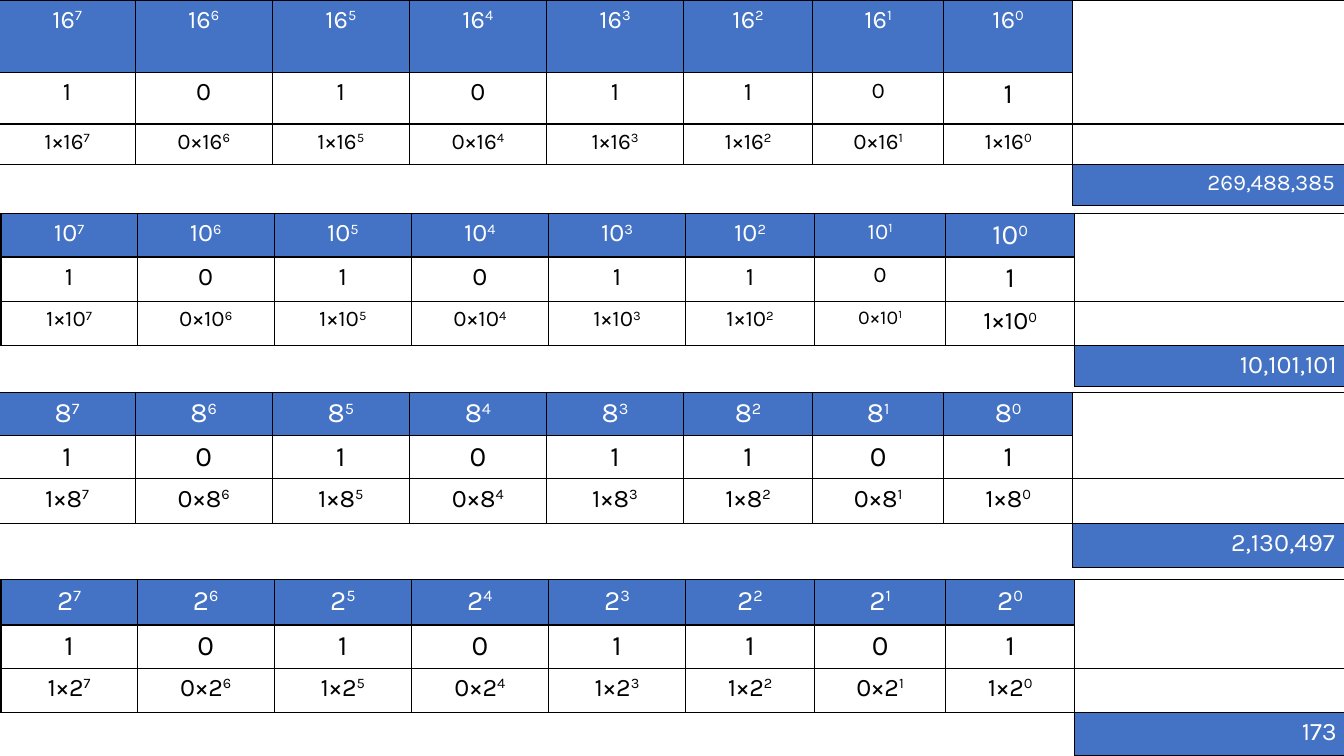
from dataclasses import dataclass

from lxml import etree
from pptx import Presentation
from pptx.dml.color import RGBColor
from pptx.enum.text import PP_ALIGN
from pptx.oxml.ns import qn
from pptx.slide import Slide
from pptx.table import _Cell
from pptx.util import Inches, Pt

CENTER, RIGHT = PP_ALIGN.CENTER, PP_ALIGN.RIGHT


@dataclass(frozen=True)
class Theme:
    font: str = "Karla"
    blue: RGBColor = RGBColor(0x44, 0x72, 0xC4)
    white: RGBColor = RGBColor(0xFF, 0xFF, 0xFF)
    black: RGBColor = RGBColor(0, 0, 0)
    border: Pt = Pt(1)
    huge: int = 20
    large: int = 18
    medium: int = 16
    small: int = 14


THEME = Theme()
DIGITS = (1, 0, 1, 0, 1, 1, 0, 1)
COLUMN_WIDTHS = (1.35, 1.36, 1.36, 1.36, 1.36, 1.28, 1.3, 1.28, 2.7)
TOTAL_COLUMN = len(DIGITS)


def row_sizes(usual: int, next_to_last: int = 0, last: int = 0) -> list[int]:
    """Type sizes of the eight digit columns; the last two may differ."""
    return [usual] * 6 + [next_to_last or usual, last or usual]


@dataclass(frozen=True)
class BaseTable:
    base: int
    left: float
    top: float
    row_heights: tuple[float, ...]
    power_sizes: list[int]
    digit_sizes: list[int]
    product_sizes: list[int]
    total_size: int


HUGE_ROW = row_sizes(THEME.huge)
LARGE_ROW = row_sizes(THEME.large)
MEDIUM_ROW = row_sizes(THEME.medium)
UNEVEN_ROW = row_sizes(THEME.large, THEME.medium, THEME.huge)

BASE_TABLES = (
    BaseTable(16, -0.01, 0, (0.72, 0.51, 0.4, 0.4),
              LARGE_ROW, UNEVEN_ROW, MEDIUM_ROW, THEME.medium),
    BaseTable(10, 0.01, 2.12, (0.43, 0.44, 0.44, 0.4), UNEVEN_ROW, UNEVEN_ROW,
              row_sizes(THEME.medium, THEME.small, THEME.large), THEME.large),
    BaseTable(8, -0.01, 3.89, (0.43, 0.43, 0.44, 0.44),
              HUGE_ROW, HUGE_ROW, LARGE_ROW, THEME.large),
    BaseTable(2, 0.01, 5.75, (0.45, 0.43, 0.44, 0.43),
              HUGE_ROW, HUGE_ROW, LARGE_ROW, THEME.large),
)


def style_cell(cell: _Cell, fill: RGBColor, sides: str = "LRTB") -> None:
    """Fill the cell and rule the given sides, leaving the others open."""
    properties = cell._tc.get_or_add_tcPr()
    for side in "LRTB":
        line = etree.SubElement(properties, qn(f"a:ln{side}"), w=str(THEME.border))
        if side in sides:
            paint = etree.SubElement(line, qn("a:solidFill"))
            etree.SubElement(paint, qn("a:srgbClr"), val=str(THEME.black))
        else:
            etree.SubElement(line, qn("a:noFill"))
    cell.fill.solid()
    cell.fill.fore_color.rgb = fill


def write_cell(cell: _Cell, text: str, size: int, color: RGBColor,
               exponent: str = "", align: PP_ALIGN = CENTER) -> None:
    para = cell.text_frame.paragraphs[0]
    para.alignment = align
    para.font.name = THEME.font
    para.font.size = Pt(size)
    para.font.color.rgb = color
    para.add_run().text = text
    if exponent:
        span = para.add_run()
        span.text = exponent
        span._r.get_or_add_rPr().set("baseline", "30000")


def draw_base_table(page: Slide, spec: BaseTable) -> None:
    frame = page.shapes.add_table(
        len(spec.row_heights), len(COLUMN_WIDTHS), Inches(spec.left), Inches(spec.top),
        Inches(sum(COLUMN_WIDTHS)), Inches(sum(spec.row_heights)))
    table = frame.table
    table.first_row = table.horz_banding = False
    for column, width in zip(table.columns, COLUMN_WIDTHS):
        column.width = Inches(width)
    for row, height in zip(table.rows, spec.row_heights):
        row.height = Inches(height)

    for index, digit in enumerate(DIGITS):
        power_cell, digit_cell, product_cell, open_cell = (
            table.cell(row, index) for row in range(4))
        style_cell(power_cell, THEME.blue)
        style_cell(digit_cell, THEME.white)
        style_cell(product_cell, THEME.white)
        style_cell(open_cell, THEME.white, "TR")
        exponent = str(TOTAL_COLUMN - 1 - index)
        write_cell(power_cell, str(spec.base), spec.power_sizes[index],
                   THEME.white, exponent)
        write_cell(digit_cell, str(digit), spec.digit_sizes[index], THEME.black)
        write_cell(product_cell, f"{digit}×{spec.base}", spec.product_sizes[index],
                   THEME.black, exponent)

    for row in range(3):
        style_cell(table.cell(row, TOTAL_COLUMN), THEME.white)
    total_cell = table.cell(3, TOTAL_COLUMN)
    style_cell(total_cell, THEME.blue)
    total = sum(digit * spec.base ** power for power, digit in enumerate(reversed(DIGITS)))
    write_cell(total_cell, f"{total:,}", spec.total_size, THEME.white, align=RIGHT)

    table.cell(0, TOTAL_COLUMN).merge(table.cell(1, TOTAL_COLUMN))
    table.cell(3, 0).merge(table.cell(3, TOTAL_COLUMN - 1))


def main() -> None:
    deck = Presentation()
    deck.slide_width, deck.slide_height = Inches(13.33), Inches(7.5)
    page = deck.slides.add_slide(deck.slide_layouts[6])
    for base_table in BASE_TABLES:
        draw_base_table(page, base_table)
    deck.save("out.pptx")


if __name__ == "__main__":
    main()
